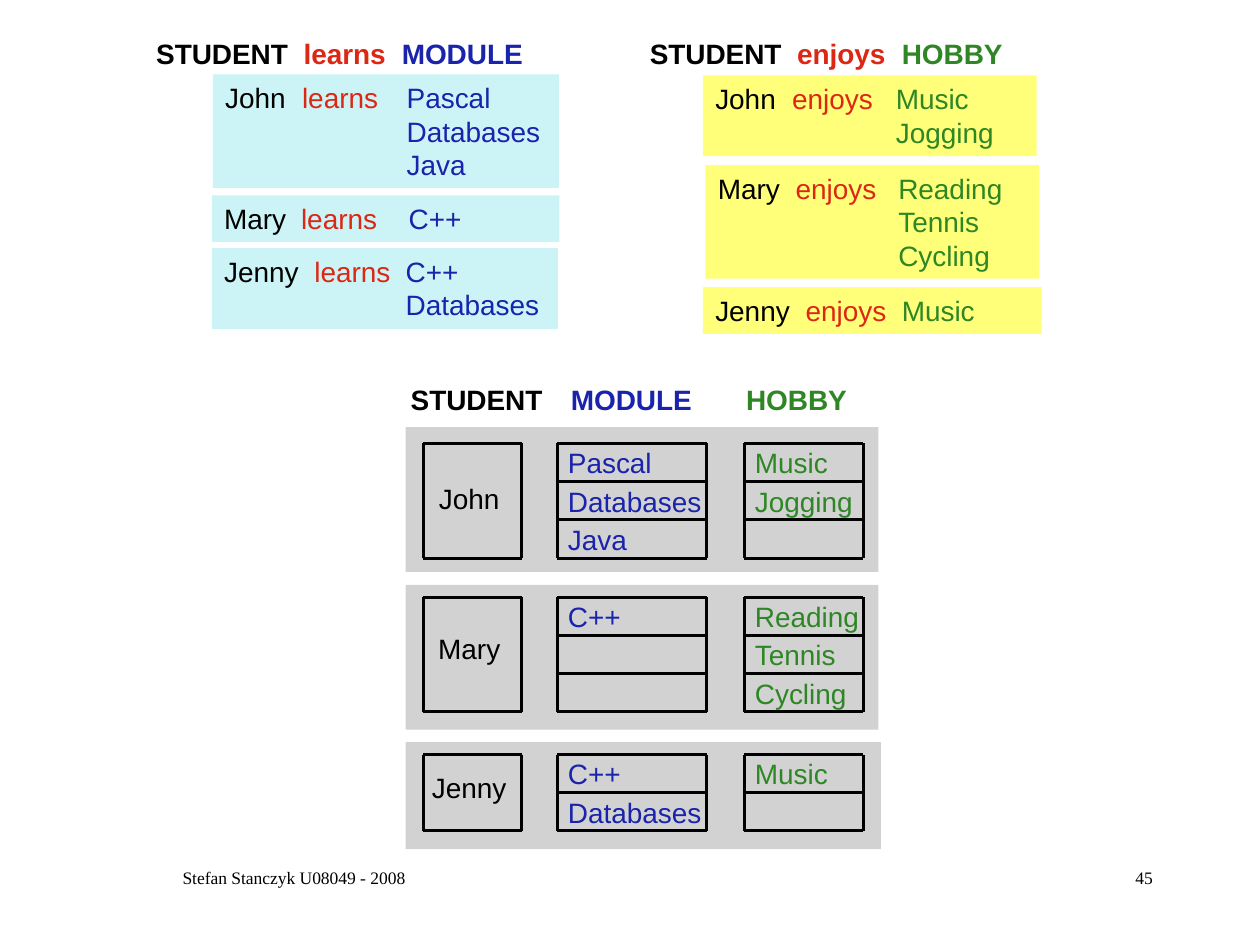
from dataclasses import dataclass

from lxml import etree
from pptx import Presentation
from pptx.dml.color import RGBColor
from pptx.enum.shapes import MSO_CONNECTOR, MSO_SHAPE
from pptx.enum.text import MSO_ANCHOR, PP_ALIGN
from pptx.oxml.ns import qn
from pptx.util import Cm, Pt

RECT = MSO_SHAPE.RECTANGLE
STRAIGHT = MSO_CONNECTOR.STRAIGHT
TOP = MSO_ANCHOR.TOP
LEFT, CENTER, RIGHT = PP_ALIGN.LEFT, PP_ALIGN.CENTER, PP_ALIGN.RIGHT


@dataclass(frozen=True)
class Theme:
    ink: str = "000000"
    verb: str = "DC2714"
    module: str = "1923AB"
    hobby: str = "2E8625"
    learns_card: str = "CCF4F7"
    enjoys_card: str = "FFFF7A"
    panel: str = "D2D2D2"
    font: str = "Arial"
    size: float = 16
    footer_font: str = "Times New Roman"
    footer_size: float = 10
    line: float = 1.75


THEME = Theme()

# All lengths are in centimetres
ROW = 0.77
PANEL_LEFT = 8.18
STUDENT, MODULE, HOBBY = (8.53, 10.52), (11.23, 14.25), (15.0, 17.4)

# box, student, tab stops of verb and item, items
LEARNS = [
    ((4.29, 1.5, 6.98, 2.29), "John", (1.55, 3.66), ["Pascal", "Databases", "Java"]),
    ((4.27, 3.94, 7.01, 0.94), "Mary", (1.55, 3.72), ["C++"]),
    ((4.27, 5.0, 6.98, 1.63), "Jenny", (1.82, 3.66), ["C++", "Databases"]),
]
ENJOYS = [
    ((14.17, 1.52, 6.73, 1.63), "John", (1.55, 3.64), ["Music", "Jogging"]),
    ((14.22, 3.33, 6.73, 2.29), "Mary", (1.57, 3.64), ["Reading", "Tennis", "Cycling"]),
    ((14.17, 5.79, 6.83, 0.94), "Jenny", (1.82, 3.76), ["Music"]),
]
# panel top, width and height, grid top, name top, rows, student, modules, hobbies
RECORDS = [
    (8.61, 9.53, 2.92, 8.94, 9.7, 3, "John",
     ["Pascal", "Databases", "Java"], ["Music", "Jogging"]),
    (11.79, 9.53, 2.92, 12.04, 12.73, 3, "Mary",
     ["C++"], ["Reading", "Tennis", "Cycling"]),
    (14.96, 9.58, 2.16, 15.21, 15.54, 2, "Jenny",
     ["C++", "Databases"], ["Music"]),
]


def style(r, color, bold=False, font=THEME.font, size=THEME.size):
    r.font.name = font
    r.font.size = Pt(size)
    r.font.bold = bold
    r.font.color.rgb = RGBColor.from_string(color)


def set_tabs(p, stops):
    tabs = etree.SubElement(p._p.get_or_add_pPr(), qn("a:tabLst"))
    for stop in stops:
        etree.SubElement(tabs, qn("a:tab"), pos=str(Cm(stop)), algn="l")


def add_runs(p, parts, stops, bold=False):
    set_tabs(p, stops)
    p.alignment = LEFT
    for text, color in parts:
        r = p.add_run()
        r.text = text
        style(r, color, bold)


def add_rect(s, box, fill):
    sp = s.shapes.add_shape(RECT, *map(Cm, box))
    sp.shadow.inherit = False
    sp.fill.solid()
    sp.fill.fore_color.rgb = RGBColor.from_string(fill)
    sp.line.fill.background()
    return sp


def add_text_box(s, box, inset=True):
    tf = s.shapes.add_textbox(*map(Cm, box)).text_frame
    tf.word_wrap = True
    if not inset:
        tf.margin_left = tf.margin_right = tf.margin_top = tf.margin_bottom = 0
    return tf


def add_label(s, box, text, color, align=LEFT, bold=False):
    p = add_text_box(s, box, inset=False).paragraphs[0]
    p.text = text
    p.alignment = align
    style(p.runs[0], color, bold)


def add_footer(s, box, text, align):
    p = add_text_box(s, box).paragraphs[0]
    p.text = text
    p.alignment = align
    style(p.runs[0], THEME.ink, font=THEME.footer_font, size=THEME.footer_size)


def add_line(s, x1, y1, x2, y2):
    line = s.shapes.add_connector(STRAIGHT, Cm(x1), Cm(y1), Cm(x2), Cm(y2))
    line.line.color.rgb = RGBColor.from_string(THEME.ink)
    line.line.width = Pt(THEME.line)
    etree.SubElement(line._element.spPr, qn("a:effectLst"))


def add_grid(s, column, top, rows, step):
    left, right = column
    bottom = top + rows * ROW
    for i in range(0, rows + 1, step):
        add_line(s, left, top + i * ROW, right, top + i * ROW)
    for x in column:
        add_line(s, x, top, x, bottom)


def add_relation(s, box, verb, noun, color, stops, fill, cards):
    heading = add_text_box(s, box).paragraphs[0]
    parts = [("STUDENT\t", THEME.ink), (verb + "\t", THEME.verb), (noun, color)]
    add_runs(heading, parts, stops, bold=True)
    for card, student, card_stops, items in cards:
        tf = add_rect(s, card, fill).text_frame
        tf.word_wrap = True
        tf.vertical_anchor = TOP
        parts = [(student + "\t", THEME.ink), (verb + "\t", THEME.verb),
                 (items[0], color)]
        add_runs(tf.paragraphs[0], parts, card_stops)
        for item in items[1:]:
            add_runs(tf.add_paragraph(), [("\t" + item, color)], card_stops[1:])


def add_record(s, panel_top, width, height, top, name_top, rows,
               student, modules, hobbies):
    add_rect(s, (PANEL_LEFT, panel_top, width, height), THEME.panel)
    add_grid(s, STUDENT, top, rows, step=rows)
    add_label(s, (STUDENT[0], name_top, 1.86, 0.69), student, THEME.ink, CENTER)
    for column, items, color in ((MODULE, modules, THEME.module),
                                 (HOBBY, hobbies, THEME.hobby)):
        add_grid(s, column, top, rows, step=1)
        left, right = column
        for i, item in enumerate(items):
            box = (left + 0.22, top + 0.05 + i * ROW, right - left - 0.22, 0.69)
            add_label(s, box, item, color)


def main():
    prs = Presentation()
    prs.slide_width, prs.slide_height = Cm(25.4), Cm(19.05)
    s = prs.slides.add_slide(prs.slide_layouts[6])

    # Nested table
    for record in RECORDS:
        add_record(s, *record)
    for text, left, width, color in (("STUDENT", 8.28, 2.75, THEME.ink),
                                     ("MODULE", 11.51, 2.55, THEME.module),
                                     ("HOBBY", 15.04, 2.15, THEME.hobby)):
        add_label(s, (left, 7.72, width, 0.69), text, color, bold=True)

    # The two relations
    add_relation(s, (2.9, 0.61, 8.4, 0.94), "learns", "MODULE", THEME.module,
                 (2.97, 4.95), THEME.learns_card, LEARNS)
    add_relation(s, (12.85, 0.61, 8.1, 0.94), "enjoys", "HOBBY", THEME.hobby,
                 (2.97, 5.08), THEME.enjoys_card, ENJOYS)

    # Footer
    add_footer(s, (1.9, 17.35, 8.05, 1.27), "Stefan Stanczyk U08049 - 2008", CENTER)
    add_footer(s, (18.21, 17.35, 5.28, 1.27), "45", RIGHT)

    prs.save("out.pptx")


if __name__ == "__main__":
    main()
